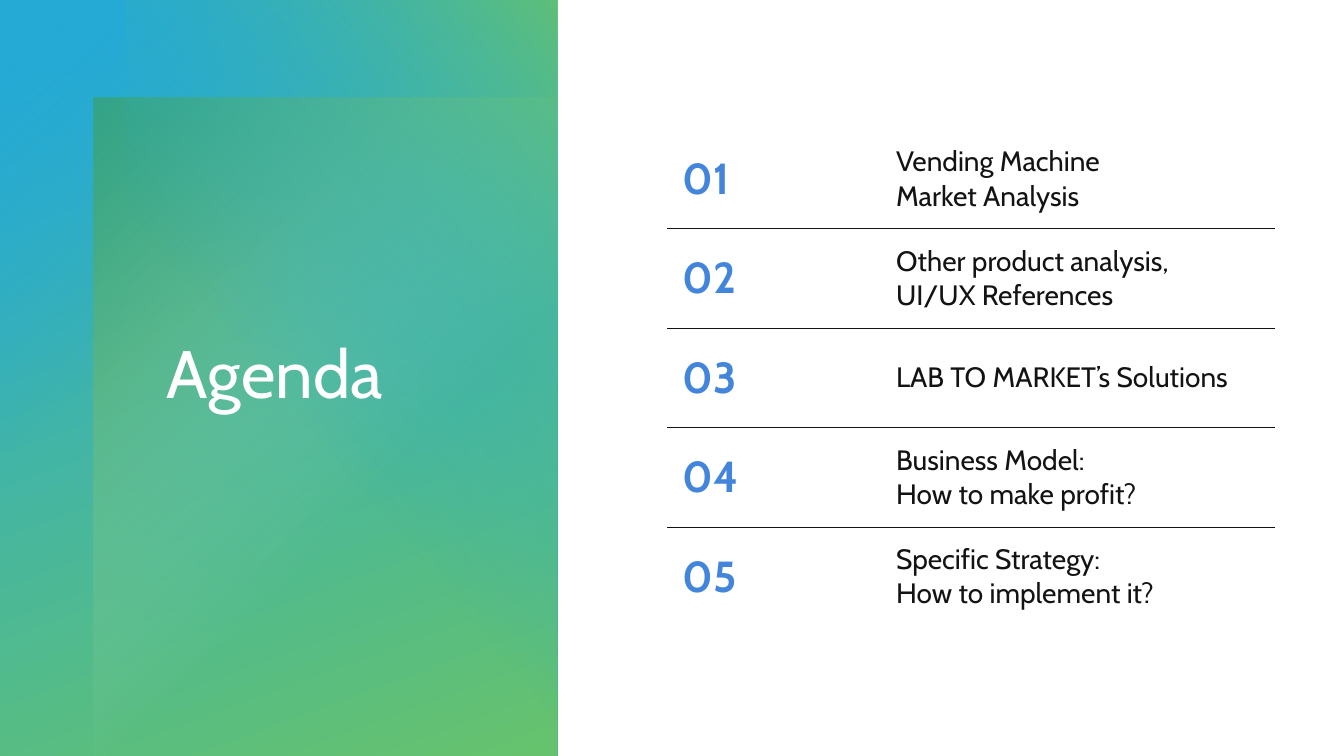
from pptx import Presentation
from pptx.dml.color import RGBColor
from pptx.enum.shapes import MSO_SHAPE
from pptx.enum.text import MSO_ANCHOR, PP_ALIGN
from pptx.oxml import parse_xml
from pptx.oxml.ns import nsdecls, qn
from pptx.util import Pt

SKY = RGBColor(0x25, 0xAA, 0xD5)
LEAF = RGBColor(0x66, 0xC2, 0x6C)
FOREST = RGBColor(0x3F, 0x9F, 0x46)
MINT = RGBColor(0xA3, 0xDA, 0xA7)
BLUE = RGBColor(0x44, 0x85, 0xDC)
INK = RGBColor(0x13, 0x13, 0x13)
WHITE = RGBColor(0xFF, 0xFF, 0xFF)
FONT = "Cabin"
NO_STYLE = "{2D5ABB26-0587-4C30-8999-92F81FD0307C}"


def fill_gradient(shape, stops, angle):
    """Stops are (position %, colour, opacity %); no angle means radial from the top left."""
    marks = "".join(
        f'<a:gs pos="{place * 1000}"><a:srgbClr val="{colour}">'
        f'<a:alpha val="{opacity * 1000}"/></a:srgbClr></a:gs>'
        for place, colour, opacity in stops)
    if angle is None:
        course = ('<a:path path="circle">'
                  '<a:fillToRect r="100000" b="100000"/></a:path>')
    else:
        course = f'<a:lin ang="{angle * 60000}" scaled="0"/>'
    shape.element.spPr.prstGeom.addnext(parse_xml(
        f'<a:gradFill rotWithShape="1" {nsdecls("a")}>'
        f'<a:gsLst>{marks}</a:gsLst>{course}</a:gradFill>'))


def format_text(frame, size, colour, bold=False):
    for para in frame.paragraphs:
        for span in para.runs:
            font = span.font
            font.name, font.size, font.bold = FONT, Pt(size), bold
            font.color.rgb = colour


deck = Presentation()
deck.slide_width, deck.slide_height = Pt(960), Pt(540)
page = deck.slides.add_slide(deck.slide_layouts[6])

# Left panel: layered gradients
layers = [
    ((0, 0, 398, 540.72), 0, [(7, SKY, 100), (100, LEAF, 100)], 70),
    ((66.8, 69.8, 331.2, 470.9), 180, [(0, FOREST, 100), (60, MINT, 0)], None),
    ((0, 0, 293, 540.72), 0, [(3, SKY, 70), (42, SKY, 0)], 50),
    ((-26.5, 116.1, 540.72, 308.2), 270, [(0, LEAF, 86), (57, SKY, 0)], 230),
]
panel = page.shapes.add_group_shape()
for bounds, rotation, stops, angle in layers:
    layer = panel.shapes.add_shape(MSO_SHAPE.RECTANGLE, *map(Pt, bounds))
    layer.rotation = rotation
    layer.shadow.inherit = False
    layer.line.fill.background()
    fill_gradient(layer, stops, angle)

# Title
title = page.shapes.add_textbox(Pt(52), Pt(165.6), Pt(288.6), Pt(206.6))
frame = title.text_frame
frame.word_wrap = True
frame.vertical_anchor = MSO_ANCHOR.MIDDLE
frame.text = "Agenda"
frame.paragraphs[0].alignment = PP_ALIGN.CENTER
frame.paragraphs[0].line_spacing = 0.9
format_text(frame, 48, WHITE)

# Agenda table
topics = [
    "Vending Machine\nMarket Analysis",
    "Other product analysis,\nUI/UX References",
    "LAB TO MARKET’s Solutions",
    "Business Model:\nHow to make profit?",
    "Specific Strategy:\nHow to implement it?",
]
holder = page.shapes.add_table(len(topics), 2, Pt(476.8), Pt(92.4), Pt(434), Pt(355))
agenda = holder.table
agenda.first_row = agenda.horz_banding = False
next(holder.element.iter(qn("a:tableStyleId"))).text = NO_STYLE
agenda.columns[0].width, agenda.columns[1].width = Pt(152.5), Pt(281.5)

for index, topic in enumerate(topics):
    agenda.rows[index].height = Pt(71)
    edges = []
    if index > 0:
        edges.append("lnT")
    if index < len(topics) - 1:
        edges.append("lnB")
    entries = [(f"{index + 1:02}", 31, BLUE, True), (topic, 20, INK, False)]
    for column, (words, size, colour, bold) in enumerate(entries):
        cell = agenda.cell(index, column)
        cell.text_frame.text = words
        format_text(cell.text_frame, size, colour, bold)
        cell.vertical_anchor = MSO_ANCHOR.MIDDLE
        cell.margin_left = cell.margin_right = Pt(10.8)
        cell.margin_top = cell.margin_bottom = Pt(10.8)
        for edge in edges:
            cell._tc.get_or_add_tcPr().append(parse_xml(
                f'<a:{edge} w="{Pt(0.5)}" {nsdecls("a")}><a:solidFill>'
                f'<a:srgbClr val="{INK}"/></a:solidFill></a:{edge}>'))
        cell.fill.background()

deck.save("out.pptx")
